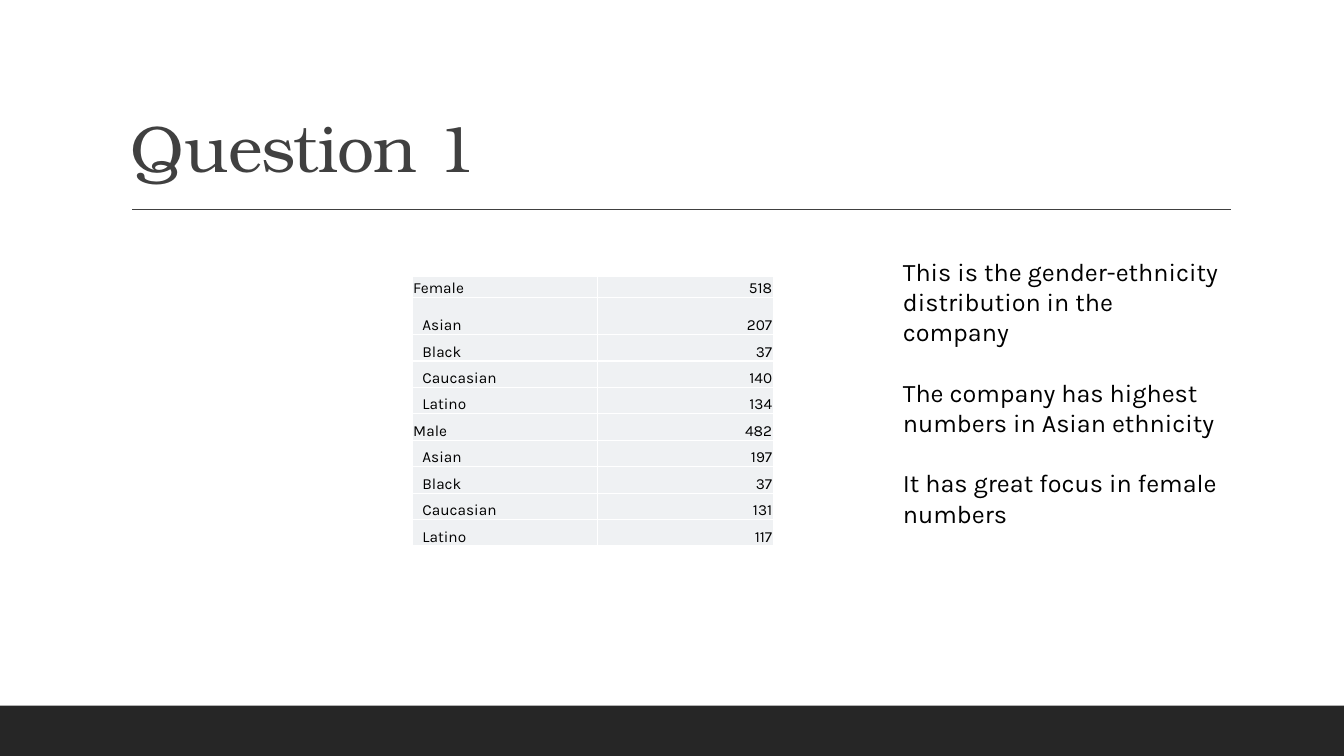
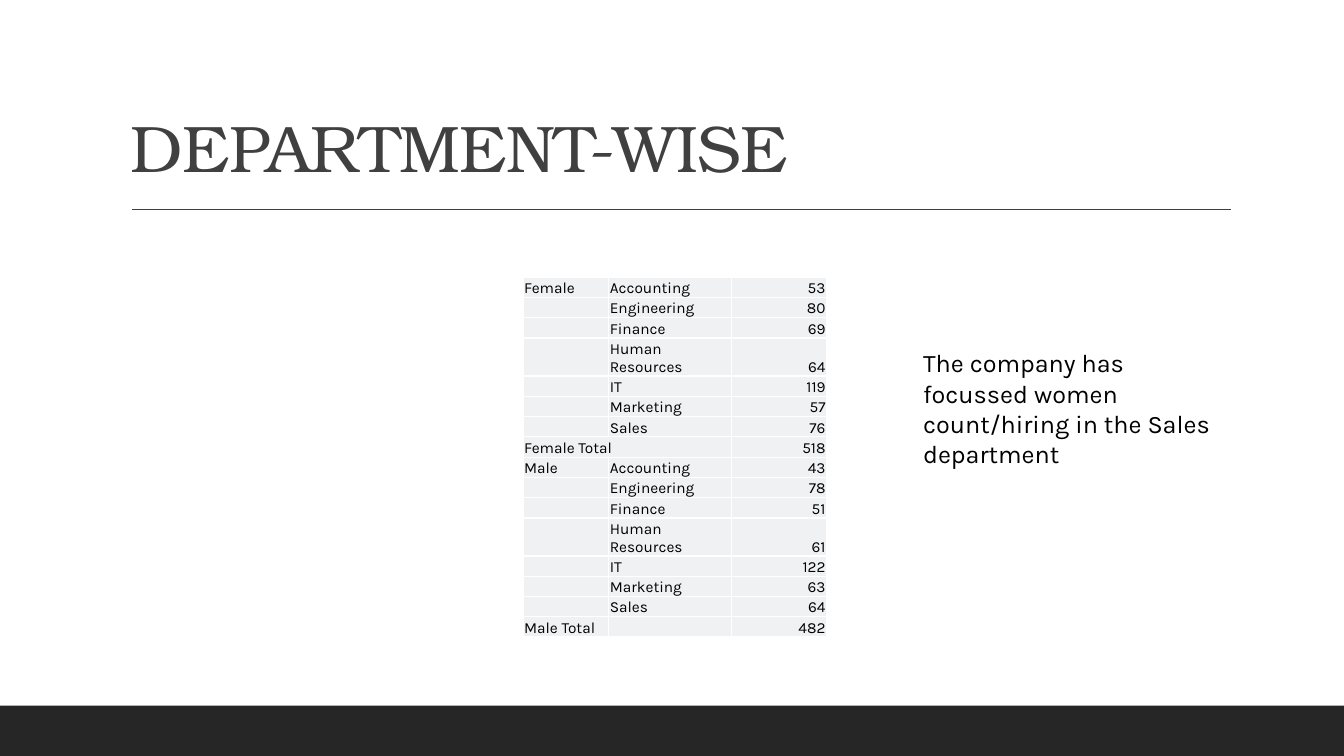
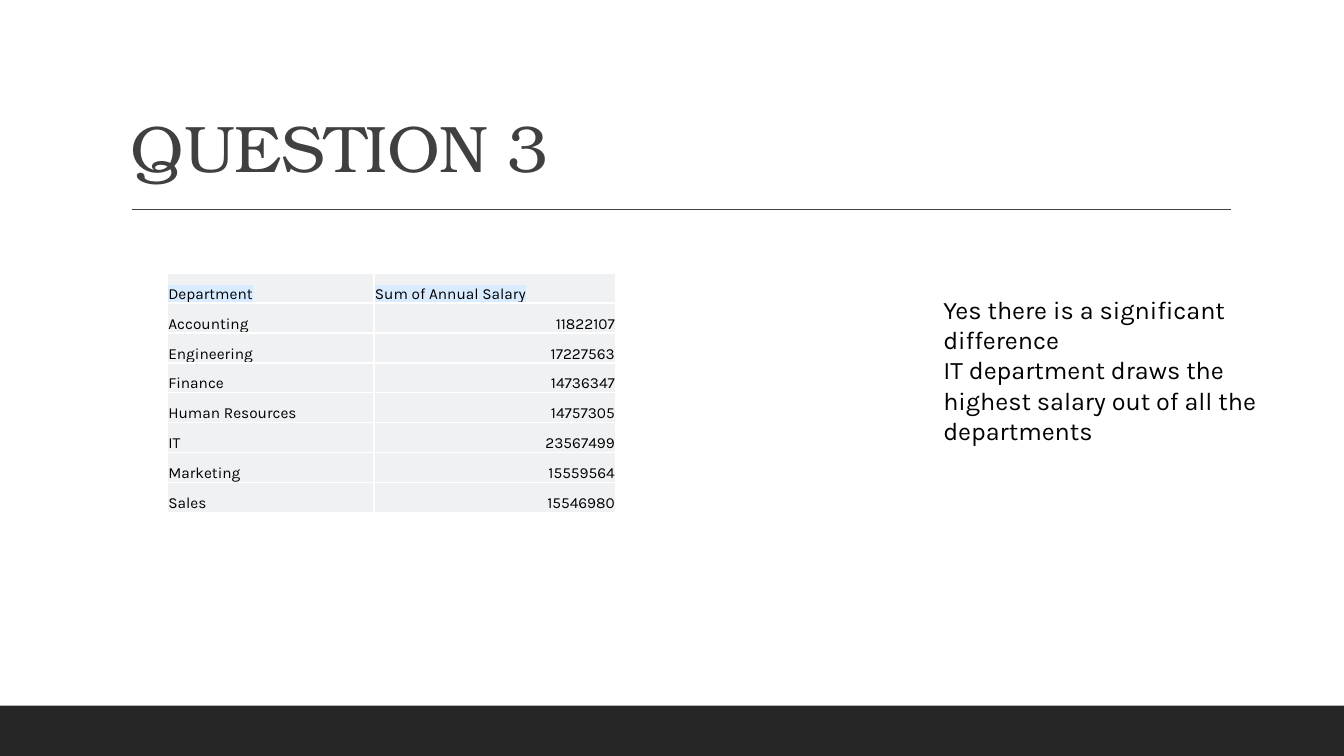
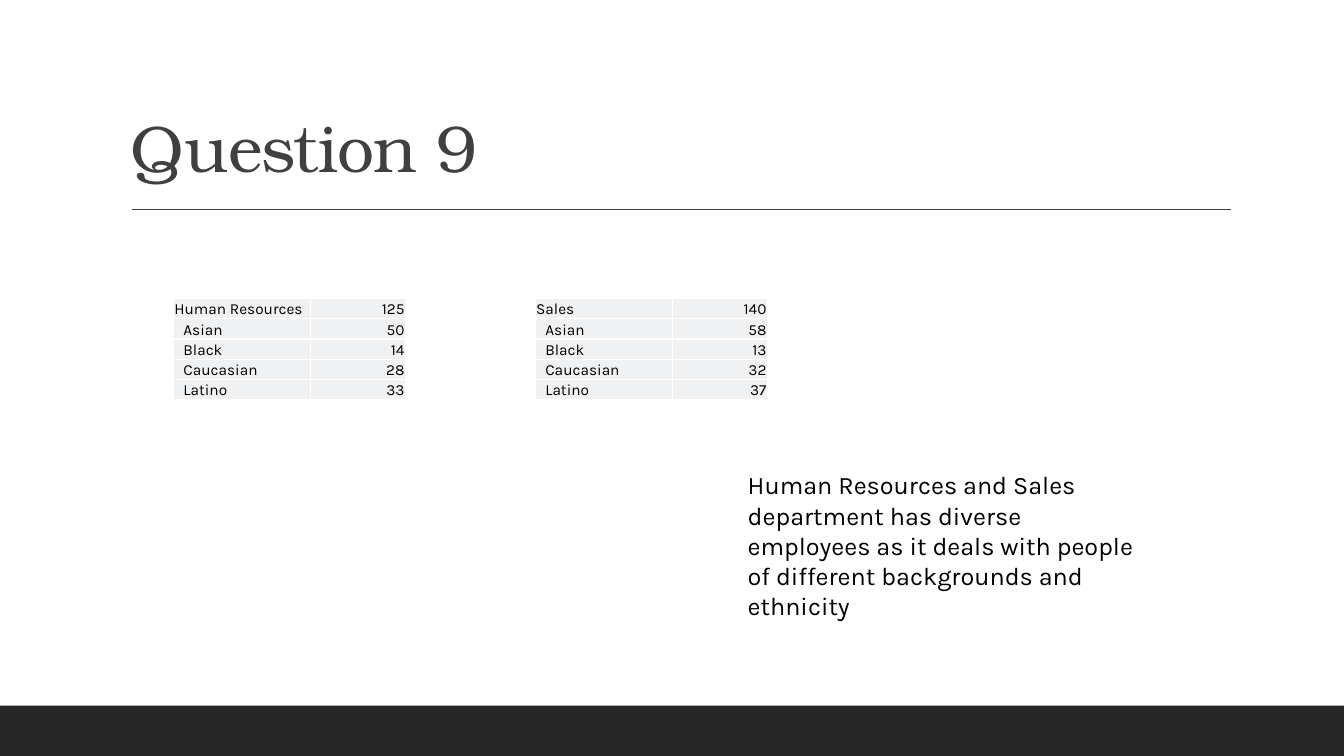
from dataclasses import dataclass

from lxml import etree
from pptx import Presentation
from pptx.dml.color import RGBColor
from pptx.enum.shapes import MSO_CONNECTOR, MSO_SHAPE
from pptx.enum.text import MSO_ANCHOR, MSO_AUTO_SIZE, PP_ALIGN
from pptx.oxml.ns import qn
from pptx.util import Pt

RECTANGLE = MSO_SHAPE.RECTANGLE
STRAIGHT = MSO_CONNECTOR.STRAIGHT
BOTTOM = MSO_ANCHOR.BOTTOM
GROW = MSO_AUTO_SIZE.SHAPE_TO_FIT_TEXT
LEFT, RIGHT = PP_ALIGN.LEFT, PP_ALIGN.RIGHT

ETHNICITIES = ("Asian", "Black", "Caucasian", "Latino")
DEPARTMENTS = ("Accounting", "Engineering", "Finance", "Human Resources",
               "IT", "Marketing", "Sales")


@dataclass(frozen=True)
class Theme:
    band: str = "262626"
    title: str = "404040"
    text: str = "000000"
    cell: str = "EFF1F3"
    border: str = "FFFFFF"
    highlight: str = "D9ECFF"
    title_font: str = "TeX Gyre Bonum"
    body_font: str = "Karla"
    title_size: float = 47
    note_size: float = 18
    table_size: float = 11
    line_width: float = 1
    cell_margin: float = 0.7
    cell_indent: float = 7.2


def add_solid_fill(parent, tag, color):
    holder = etree.SubElement(parent, qn(tag))
    etree.SubElement(holder, qn("a:srgbClr"), val=color)
    return holder


class Deck:
    def __init__(self, theme):
        self.theme = theme
        self.presentation = Presentation()
        self.presentation.slide_width = Pt(960)
        self.presentation.slide_height = Pt(540)
        self.slide = None

    def add_slide(self, title):
        layout = self.presentation.slide_layouts[6]
        self.slide = self.presentation.slides.add_slide(layout)
        self.add_band()
        self.add_rule()
        self.add_title(title)

    def add_band(self):
        band = self.slide.shapes.add_shape(RECTANGLE, Pt(0), Pt(504), Pt(960), Pt(36))
        band.shadow.inherit = False
        band.fill.solid()
        band.fill.fore_color.rgb = RGBColor.from_string(self.theme.band)
        band.line.fill.background()

    def add_rule(self):
        rule = self.slide.shapes.add_connector(
            STRAIGHT, Pt(94.5), Pt(149.7), Pt(879), Pt(149.7))
        rule.line.color.rgb = RGBColor.from_string(self.theme.title)
        rule.line.width = Pt(self.theme.line_width)
        etree.SubElement(rule._element.spPr, qn("a:effectLst"))

    def add_run(self, paragraph, text, font, size, color):
        run = paragraph.add_run()
        run.text = text
        run.font.name = font
        run.font.size = Pt(size)
        run.font.color.rgb = RGBColor.from_string(color)
        return run

    def add_text_box(self, left, top, width, height):
        frame = self.slide.shapes.add_textbox(
            Pt(left), Pt(top), Pt(width), Pt(height)).text_frame
        frame.word_wrap = True
        return frame

    def add_title(self, text):
        frame = self.add_text_box(86.4, 22.3, 792, 114.5)
        frame.vertical_anchor = BOTTOM
        paragraph = frame.paragraphs[0]
        paragraph.line_spacing = 0.9
        run = self.add_run(paragraph, text, self.theme.title_font,
                           self.theme.title_size, self.theme.title)
        run._r.get_or_add_rPr().set("spc", "-50")

    def add_note(self, left, top, width, height, texts, gap=0):
        frame = self.add_text_box(left, top, width, height)
        frame.auto_size = GROW
        for index, text in enumerate(texts):
            paragraph = frame.add_paragraph() if index else frame.paragraphs[0]
            paragraph.space_before = Pt(gap if index else 0)
            self.add_run(paragraph, text, self.theme.body_font,
                         self.theme.note_size, self.theme.text)

    def add_table(self, left, top, widths, heights, rows, indented=(), header=False):
        table = self.slide.shapes.add_table(
            len(rows), len(widths), Pt(left), Pt(top),
            Pt(sum(widths)), Pt(sum(heights))).table
        table.first_row = False
        table.horz_banding = False
        for column, width in zip(table.columns, widths):
            column.width = Pt(width)
        for row_index, (row, height) in enumerate(zip(rows, heights)):
            table.rows[row_index].height = Pt(height)
            for column_index, value in enumerate(row):
                self.fill_cell(table.cell(row_index, column_index), value,
                               value in indented, header and row_index == 0)
        return table

    def fill_cell(self, cell, value, indented, highlighted):
        theme = self.theme
        cell.vertical_anchor = BOTTOM
        cell.margin_left = Pt(theme.cell_indent if indented else theme.cell_margin)
        cell.margin_right = cell.margin_top = Pt(theme.cell_margin)
        cell.margin_bottom = Pt(0)
        properties = cell._tc.get_or_add_tcPr()
        for side in ("a:lnL", "a:lnR", "a:lnT", "a:lnB"):
            border = etree.SubElement(properties, qn(side), w=str(Pt(theme.line_width)))
            add_solid_fill(border, "a:solidFill", theme.border)
        cell.fill.solid()
        cell.fill.fore_color.rgb = RGBColor.from_string(theme.cell)
        paragraph = cell.text_frame.paragraphs[0]
        paragraph.alignment = RIGHT if isinstance(value, int) else LEFT
        if value == "":
            etree.SubElement(paragraph._p, qn("a:endParaRPr"),
                             sz=str(theme.table_size * 100))
            return
        run = self.add_run(paragraph, str(value), theme.body_font,
                           theme.table_size, theme.text)
        if highlighted:
            run_properties = run._r.get_or_add_rPr()
            highlight = add_solid_fill(run_properties, "a:highlight", theme.highlight)
            run_properties.find(qn("a:solidFill")).addnext(highlight)


def ethnicity_rows(group, total, counts):
    return [(group, total), *zip(ETHNICITIES, counts)]


def department_rows(gender, counts):
    labels = [gender] + [""] * (len(DEPARTMENTS) - 1)
    return [*zip(labels, DEPARTMENTS, counts), (f"{gender} Total", "", sum(counts))]


def add_gender_slide(deck):
    deck.add_slide("Question 1")
    rows = (ethnicity_rows("Female", 518, (207, 37, 140, 134))
            + ethnicity_rows("Male", 482, (197, 37, 131, 117)))
    deck.add_table(294.5, 197.3, (132.5, 125.3), [15.1, 26.6] + [18.9] * 8,
                   rows, indented=ETHNICITIES)
    deck.add_note(637.9, 179.3, 240.5, 203.8, (
        "This is the gender-ethnicity distribution in the company",
        "The company has highest numbers in Asian ethnicity",
        "It has great focus in female numbers"), gap=21.6)


def add_department_slide(deck):
    deck.add_slide("DEPARTMENT-WISE")
    female = department_rows("Female", (53, 80, 69, 64, 119, 57, 76))
    male = department_rows("Male", (43, 78, 51, 61, 122, 63, 64))
    rows = female + male
    table = deck.add_table(373.7, 198, (61.2, 87.8, 67.7), [14.5] * len(rows), rows)
    total_row = len(female) - 1
    table.cell(total_row, 0).merge(table.cell(total_row, 1))
    deck.add_note(652.3, 244.8, 226.1, 72.7, (
        "The company has focussed women count/hiring in the Sales department",))


def add_salary_slide(deck):
    deck.add_slide("QUESTION 3")
    salaries = (11822107, 17227563, 14736347, 14757305, 23567499, 15559564, 15546980)
    rows = [("Department", "Sum of Annual Salary"), *zip(DEPARTMENTS, salaries)]
    deck.add_table(119.5, 195.1, (147.6, 172.8), [21.4] * len(rows), rows, header=True)
    deck.add_note(666.7, 206.6, 256.3, 116.6, (
        "Yes there is a significant difference",
        "IT department draws the highest salary out of all the departments"))


def add_diversity_slide(deck):
    deck.add_slide("Question 9")
    groups = ((123.8, "Human Resources", 125, (50, 14, 28, 33)),
              (382.3, "Sales", 140, (58, 13, 32, 37)))
    for left, department, total, counts in groups:
        rows = ethnicity_rows(department, total, counts)
        deck.add_table(left, 213.1, (98.2, 67.7), [14.5] * len(rows),
                       rows, indented=ETHNICITIES)
    deck.add_note(527, 331.9, 301.7, 94.3, (
        "Human Resources and Sales department has diverse employees as it deals "
        "with people of different backgrounds and ethnicity",))


def main():
    deck = Deck(Theme())
    add_gender_slide(deck)
    add_department_slide(deck)
    add_salary_slide(deck)
    add_diversity_slide(deck)
    deck.presentation.save("out.pptx")


if __name__ == "__main__":
    main()
